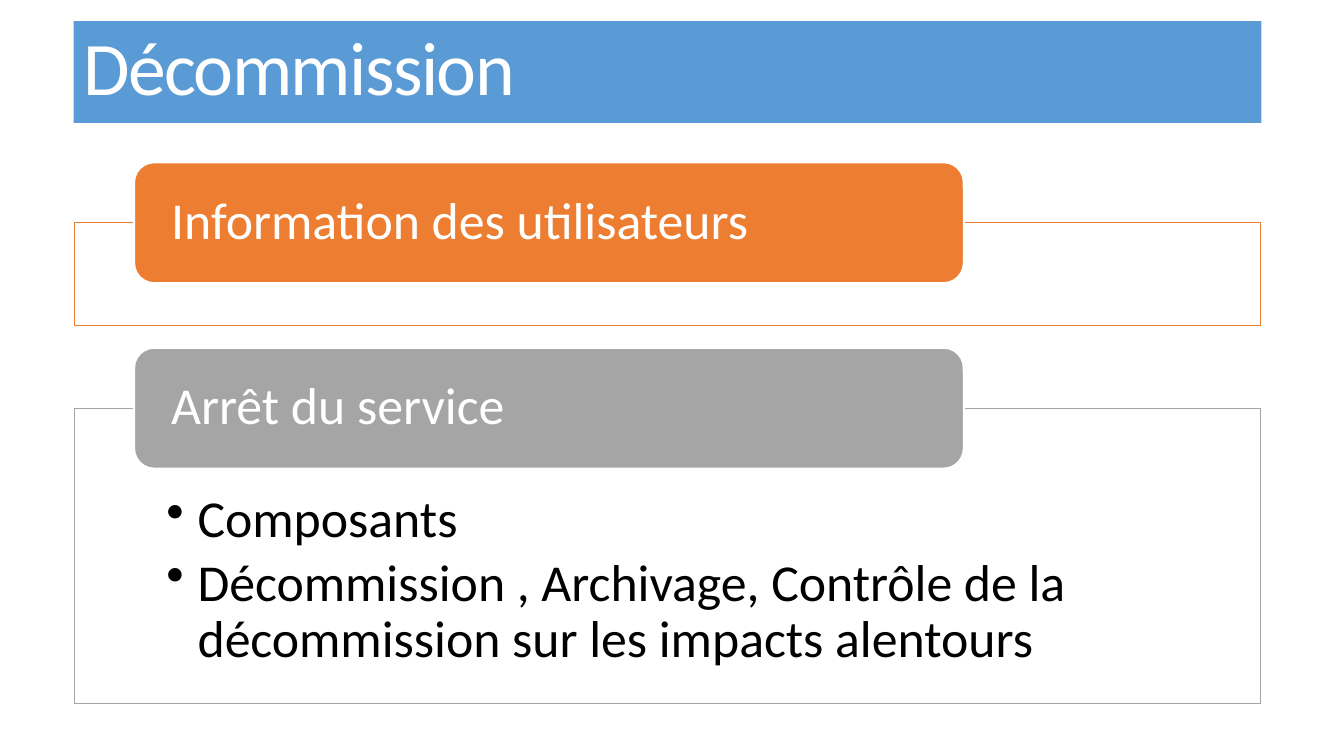
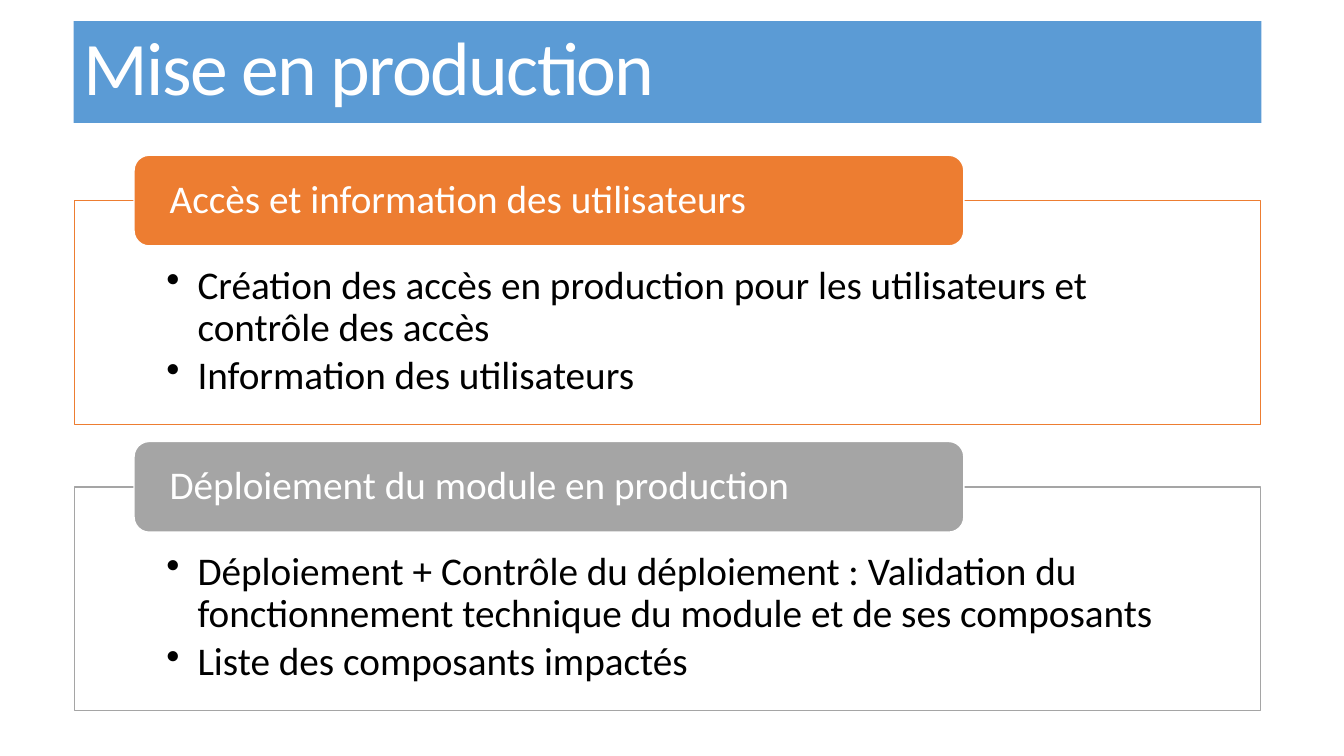
"""Builds two slides of stacked sections, each a framed list under a coloured tab."""
import pptx
import pptx.util
import pptx.dml.color
import pptx.enum.shapes
import pptx.enum.text
import pptx.oxml.ns
from dataclasses import dataclass
from lxml import etree

SLIDES = [
    {
        "title": "Décommission",
        "size": 37, "top": 161, "tab_height": 120, "gap": 22,
        "list_top": 84, "list_bottom": 29, "tab_outline": 1.5,
        "sections": [
            ("Information des utilisateurs", 102, []),
            ("Arrêt du service", 293, [
                "Composants",
                "Décommission , Archivage, Contrôle de la décommission sur les impacts alentours",
            ]),
        ],
    },
    {
        "title": "Mise en production",
        "size": 28, "top": 154, "tab_height": 90, "gap": 17,
        "list_top": 64, "list_bottom": 22, "tab_outline": 1,
        "sections": [
            ("Accès et information des utilisateurs", 222, [
                "Création des accès en production pour les utilisateurs et contrôle des accès",
                "Information des utilisateurs",
            ]),
            ("Déploiement du module en production", 222, [
                "Déploiement + Contrôle du déploiement : Validation du fonctionnement "
                "technique du module et de ses composants",
                "Liste des composants impactés",
            ]),
        ],
    },
]


@dataclass(frozen=True)
class Theme:
    """Colours, type and opacity shared by the slides."""
    font: str = "Calibri"
    title_size: int = 54
    title_tracking: int = -120
    band: str = "5B9BD5"
    accents: tuple = ("ED7D31", "A5A5A5")
    light: str = "FFFFFF"
    dark: str = "000000"
    frame_opacity: int = 90


THEME = Theme()
SLIDE_SIZE = (1333, 750)
BAND = (73, 21, 1178, 101)
FRAME_LEFT, FRAME_WIDTH = 74, 1176
TAB_LEFT, TAB_WIDTH = 133, 823
TAB_INSET, LIST_INSET, BULLET_INDENT = 31, 91, 31
KINDS = pptx.enum.shapes.MSO_SHAPE
ANCHORS = pptx.enum.text.MSO_ANCHOR


def px(length):
    """Turn px into EMU at 100 px to the inch."""
    return pptx.util.Emu(length * 9144)


def rgb(code):
    """Turn a hex code into a colour."""
    return pptx.dml.color.RGBColor.from_string(code)


def add_box(slide, kind, place, fill, insets, anchor, outline=None, weight=1):
    """Add a filled shape whose text frame is ready for paragraphs."""
    box = slide.shapes.add_shape(kind, *map(px, place))
    box.shadow.inherit = False
    box.fill.solid()
    box.fill.fore_color.rgb = rgb(fill)
    if outline:
        box.line.color.rgb = rgb(outline)
        box.line.width = pptx.util.Pt(weight)
    else:
        box.line.fill.background()
    text = box.text_frame
    text.word_wrap = True
    text.vertical_anchor = anchor
    text.margin_left, text.margin_top, text.margin_right, text.margin_bottom = map(px, insets)
    return box


def write(paragraph, words, size, color, spacing=0.9, after=0):
    """Write one left-aligned run and return it."""
    paragraph.alignment = pptx.enum.text.PP_ALIGN.LEFT
    paragraph.line_spacing = spacing
    paragraph.space_after = pptx.util.Pt(after)
    run = paragraph.add_run()
    run.text = words
    run.font.name = THEME.font
    run.font.size = pptx.util.Pt(size)
    run.font.color.rgb = rgb(color)
    return run


def add_bullet(paragraph):
    """Give a paragraph a hanging bullet."""
    properties = paragraph._p.get_or_add_pPr()
    properties.set("marL", str(px(BULLET_INDENT)))
    properties.set("indent", str(px(-BULLET_INDENT)))
    etree.SubElement(properties, pptx.oxml.ns.qn("a:buChar")).set("char", "•")


def set_opacity(box, percent):
    """Make a solid fill partly transparent."""
    color = box.fill._xPr.find(".//" + pptx.oxml.ns.qn("a:srgbClr"))
    etree.SubElement(color, pptx.oxml.ns.qn("a:alpha")).set("val", str(percent * 1000))


def add_title(slide, words):
    """Add the title band."""
    band = add_box(slide, KINDS.RECTANGLE, BAND, THEME.band, (10, 5, 10, 5), ANCHORS.MIDDLE)
    run = write(band.text_frame.paragraphs[0], words, THEME.title_size, THEME.light, 0.85)
    run._r.get_or_add_rPr().set("spc", str(THEME.title_tracking))


def add_section(slide, page, top, section, accent):
    """Add a frame with its list and its tab, and return the frame's bottom."""
    heading, height, items = section
    size, tab_height = page["size"], page["tab_height"]
    frame_top = top + tab_height // 2
    frame = add_box(slide, KINDS.RECTANGLE, (FRAME_LEFT, frame_top, FRAME_WIDTH, height),
                    THEME.light, (LIST_INSET, page["list_top"], LIST_INSET, page["list_bottom"]),
                    ANCHORS.TOP, accent)
    set_opacity(frame, THEME.frame_opacity)
    for number, item in enumerate(items):
        text = frame.text_frame
        paragraph = text.add_paragraph() if number else text.paragraphs[0]
        write(paragraph, item, size, THEME.dark, after=size * 0.15)
        add_bullet(paragraph)
    tab = add_box(slide, KINDS.ROUNDED_RECTANGLE, (TAB_LEFT, top, TAB_WIDTH, tab_height),
                  accent, (TAB_INSET, 0, TAB_INSET, 0), ANCHORS.MIDDLE,
                  THEME.light, page["tab_outline"])
    write(tab.text_frame.paragraphs[0], heading, size, THEME.light)
    return frame_top + height


def main():
    """Build and save the presentation."""
    deck = pptx.Presentation()
    deck.slide_width, deck.slide_height = map(px, SLIDE_SIZE)
    for page in SLIDES:
        slide = deck.slides.add_slide(deck.slide_layouts[6])
        add_title(slide, page["title"])
        top = page["top"]
        for section, accent in zip(page["sections"], THEME.accents):
            top = add_section(slide, page, top, section, accent) + page["gap"]
    deck.save("out.pptx")


if __name__ == "__main__":
    main()
